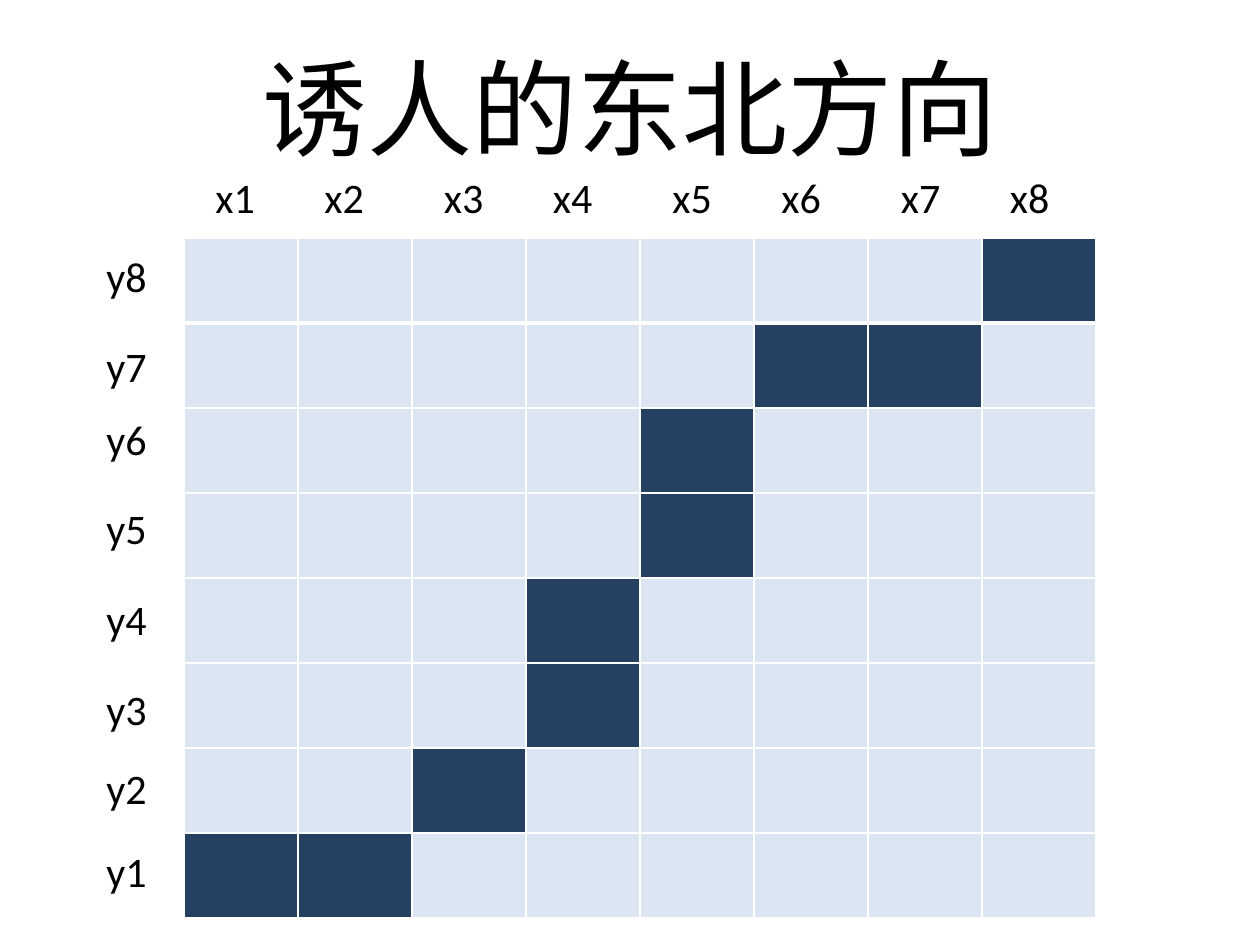
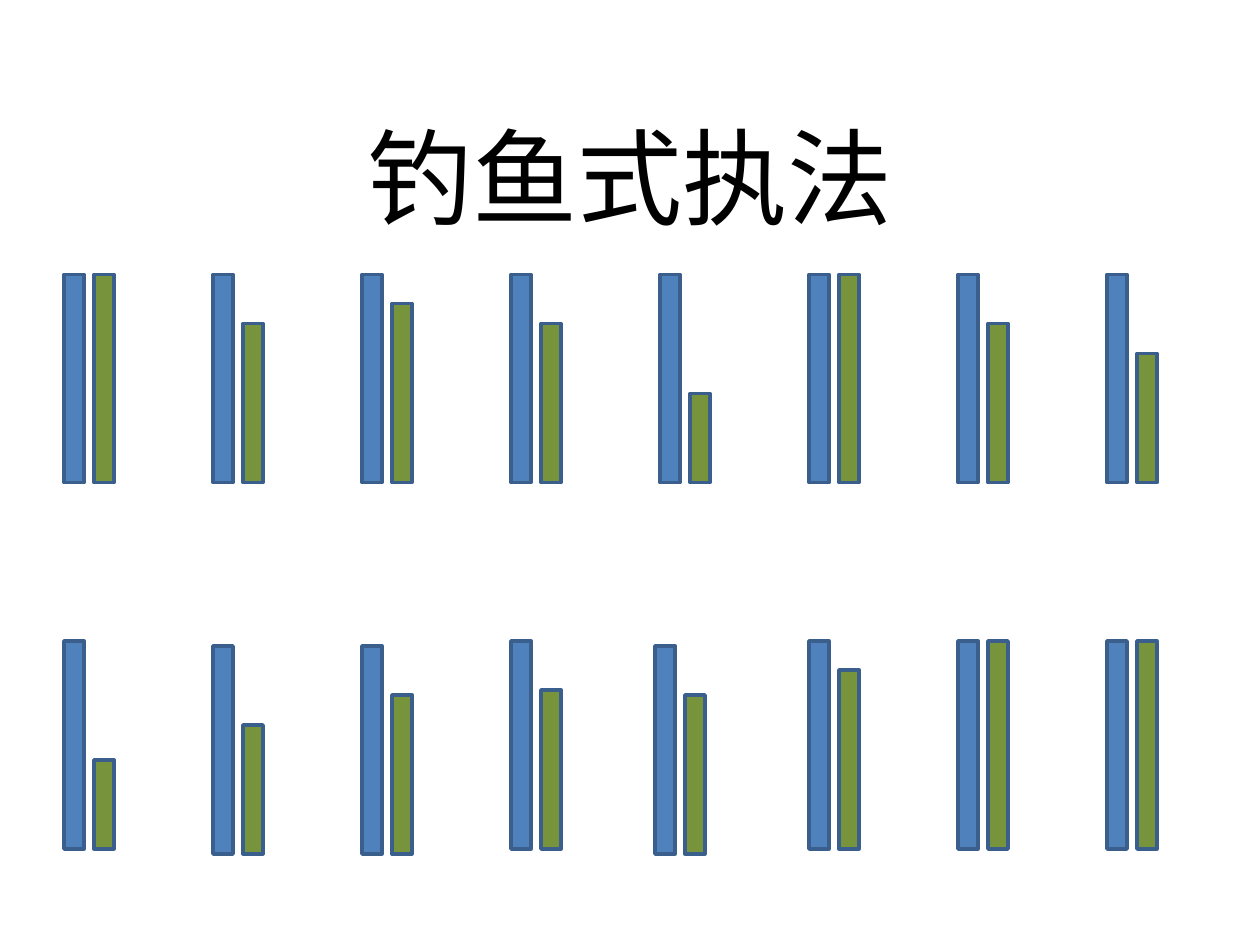
import pptx
import pptx.util
import pptx.dml.color
import pptx.enum.shapes
import pptx.enum.text
import pptx.oxml
import pptx.oxml.ns

PX = 914400 / 126
FONT = "Calibri"
COLORS = {
    "text": "000000", "pale": "DCE6F2", "navy": "254061", "grid": "FFFFFF",
    "blue": "4F81BD", "green": "77933C", "outline": "3A5F8C",
}


def emu(n):
    """Turn pixels into EMU."""
    return pptx.util.Emu(round(n * PX))


def rgb(name):
    """Look up a named colour."""
    return pptx.dml.color.RGBColor.from_string(COLORS[name])


def write(tf, text, size=24, color="text", align=None, anchor=None,
          auto_size=pptx.enum.text.MSO_AUTO_SIZE.NONE, wrap=True):
    """Put one formatted paragraph into a text frame."""
    tf.word_wrap = wrap
    tf.auto_size = auto_size
    if anchor is not None:
        tf.vertical_anchor = anchor
    p = tf.paragraphs[0]
    p.alignment = align
    r = p.add_run()
    r.text = text
    r.font.size = pptx.util.Pt(size)
    r.font.name = FONT
    r.font.color.rgb = rgb(color)


def titled_slide(prs, text, top):
    """Add a slide with a centred title at the given height."""
    s = prs.slides.add_slide(prs.slide_layouts[5])
    sp = s.shapes.title
    sp.left, sp.top, sp.width, sp.height = map(emu, (63, top, 1134, 157.5))
    write(sp.text_frame, text, size=60, align=pptx.enum.text.PP_ALIGN.CENTER,
          anchor=pptx.enum.text.MSO_ANCHOR.MIDDLE)
    return s


def border(cell, side, points):
    """Draw one edge of a cell: side is L, R, T or B."""
    cell._tc.get_or_add_tcPr().append(pptx.oxml.parse_xml(
        f'<a:ln{side} {pptx.oxml.ns.nsdecls("a")} w="{points * 12700}">'
        f'<a:solidFill><a:srgbClr val="{COLORS["grid"]}"/></a:solidFill>'
        f'</a:ln{side}>'))


def path_grid(s, x, y, w, h, marked):
    """Draw a square grid; marked lists the dark columns of each row."""
    n = len(marked)
    table = s.shapes.add_table(n, n, *map(emu, (x, y, w, h))).table
    table.first_row = table.horz_banding = False
    for i, dark in enumerate(marked):
        table.columns[i].width = emu(w / n)
        table.rows[i].height = emu(h / n)
        for j in range(n):
            cell = table.cell(i, j)
            for side in "LRTB":
                under_first_row = (i, side) in ((0, "B"), (1, "T"))
                border(cell, side, 3 if under_first_row else 1)
            cell.fill.solid()
            cell.fill.fore_color.rgb = rgb("navy" if j in dark else "pale")


def axis_label(s, x, y, text):
    """Place one axis label."""
    sp = s.shapes.add_textbox(*map(emu, (x, y, 69, 63)))
    write(sp.text_frame, text, wrap=False,
          auto_size=pptx.enum.text.MSO_AUTO_SIZE.SHAPE_TO_FIT_TEXT)


def axis_labels(s, x, y, row_offsets):
    """Label the columns above and the rows left of a grid at x, y."""
    n = len(row_offsets)
    for i, dy in enumerate(row_offsets):
        axis_label(s, x - 90, y + dy, f"y{n - i}")
    for i in range(n):
        pair, second = divmod(i, 2)
        axis_label(s, x + 19 + 228.5 * pair + 109 * second, y - 73, f"x{i + 1}")


def bar(s, x, bottom, height, color):
    """Draw one outlined bar standing on bottom."""
    sp = s.shapes.add_shape(pptx.enum.shapes.MSO_SHAPE.RECTANGLE,
                            *map(emu, (x, bottom - height, 20, height)))
    sp.shadow.inherit = False
    sp.fill.solid()
    sp.fill.fore_color.rgb = rgb(color)
    sp.line.color.rgb = rgb("outline")
    sp.line.width = pptx.util.Pt(2)


def bar_pairs(s, x, y, h, heights, shifts):
    """Draw a row of full blue bars, each beside a green bar of its own height."""
    for i, height in enumerate(heights):
        dx, dy = shifts.get(i, (0, 0))
        left, bottom = x + 149 * i + dx, y + h + dy
        bar(s, left, bottom, h, "blue")
        bar(s, left + 30, bottom, height, "green")


prs = pptx.Presentation()
prs.slide_width, prs.slide_height = emu(1260), emu(945)

s = titled_slide(prs, "诱人的东北方向", 28)
path_grid(s, 184, 238, 912, 680,
          [{7}, {5, 6}, {4}, {4}, {3}, {3}, {2}, {0, 1}])
axis_labels(s, 184, 238, [6, 96, 169, 258, 349, 439, 518, 601])

s = titled_slide(prs, "钓鱼式执法", 97)
FULL = 208
bar_pairs(s, 64, 274.5, FULL, [FULL, 159, 179, 159, 89, FULL, 159, 129], {})
bar_pairs(s, 64, 641, FULL, [89, 129, 159, 159, 159, 179, FULL, FULL],
          {1: (0, 5), 2: (0, 5), 4: (-5, 5)})

prs.save("out.pptx")
